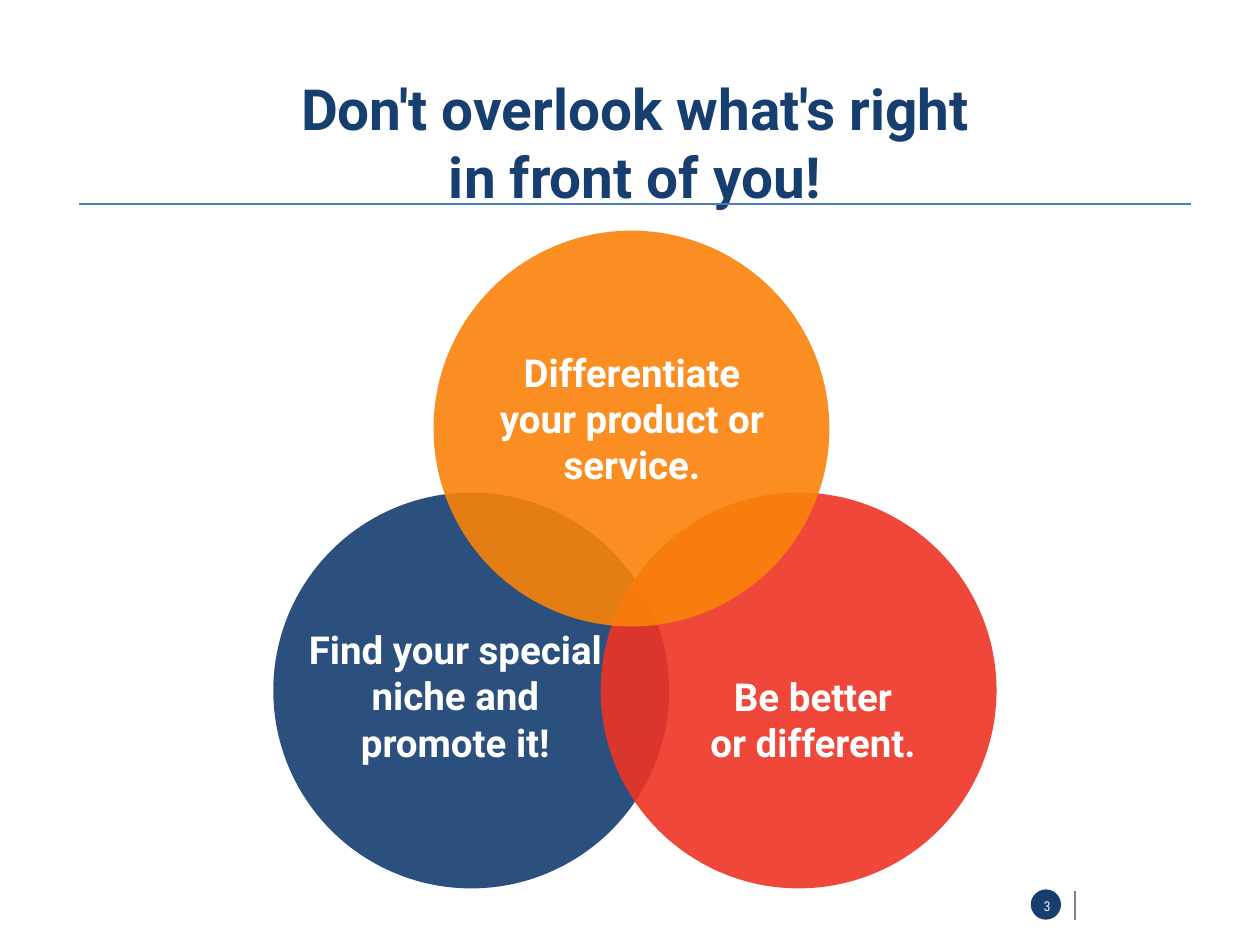
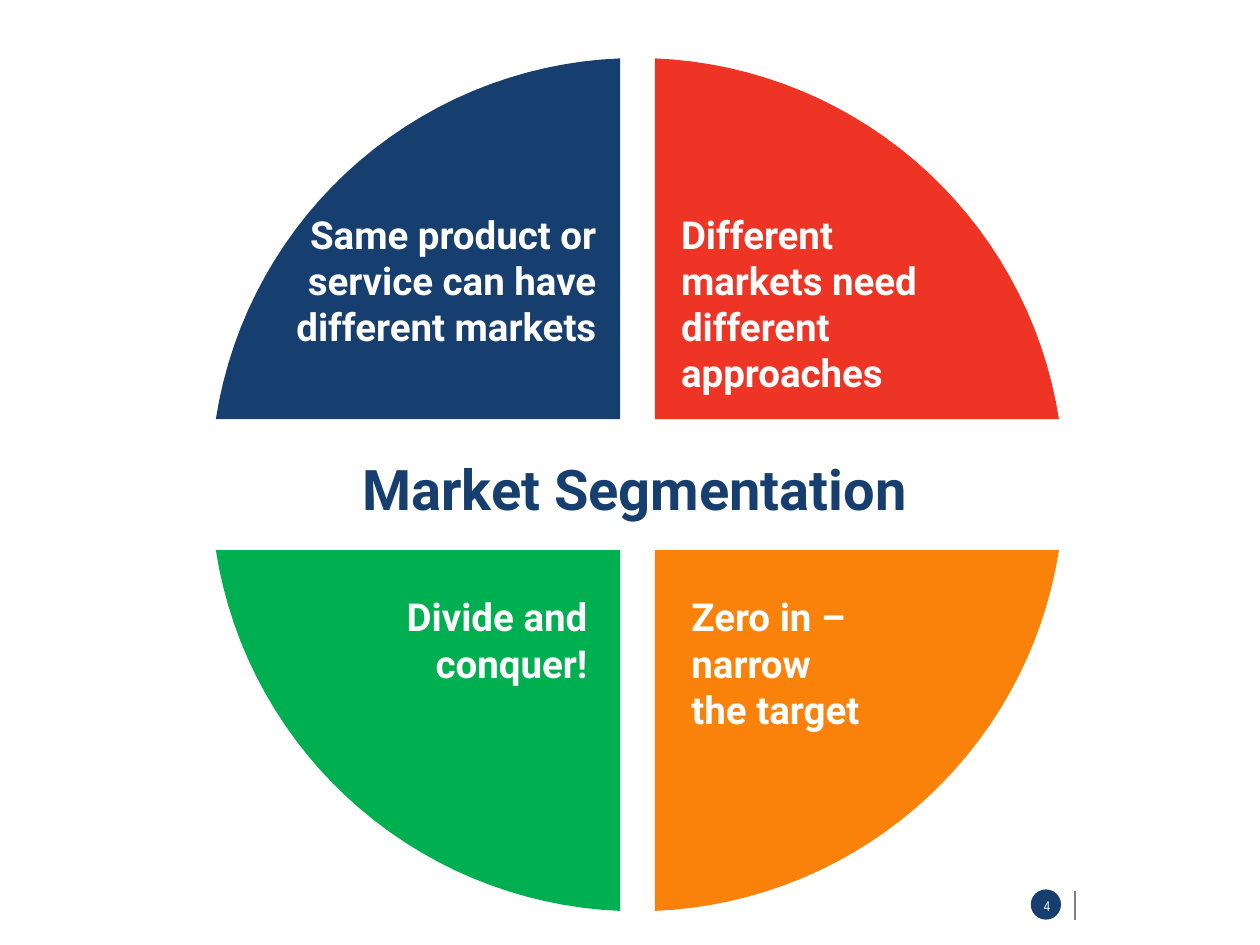
import math

from lxml import etree
from pptx import Presentation
from pptx.dml.color import RGBColor
from pptx.enum.shapes import MSO_CONNECTOR, MSO_SHAPE
from pptx.enum.text import MSO_AUTO_SIZE, PP_ALIGN
from pptx.oxml.ns import qn
from pptx.util import Cm, Pt

STRAIGHT = MSO_CONNECTOR.STRAIGHT
OVAL = MSO_SHAPE.OVAL
GROW = MSO_AUTO_SIZE.SHAPE_TO_FIT_TEXT
LEFT, CENTER, RIGHT = PP_ALIGN.LEFT, PP_ALIGN.CENTER, PP_ALIGN.RIGHT

NAVY, RED, ORANGE, GREEN = "163E6F", "EE3425", "FA820A", "00B050"
WHITE, GRAY, RULE_BLUE = "FFFFFF", "808080", "4B7EBC"
MAIN_FONT, NUMBER_FONT = "Roboto", "Arial Narrow"
LABEL_WIDTH = 6.58
ARC_STEPS = 31


def color(hex_string):
    return RGBColor.from_string(hex_string)


def paint(shape, fill, opacity=None):
    """Give a shape a flat fill without outline or shadow."""
    shape.shadow.inherit = False
    shape.fill.solid()
    shape.fill.fore_color.rgb = color(fill)
    shape.line.fill.background()
    if opacity is not None:
        fill_color = shape.element.spPr.find(".//" + qn("a:srgbClr"))
        alpha = etree.SubElement(fill_color, qn("a:alpha"))
        alpha.set("val", str(opacity * 1000))


def add_circle(slide, left, top, diameter, fill, opacity=None):
    circle = slide.shapes.add_shape(
        OVAL, Cm(left), Cm(top), Cm(diameter), Cm(diameter))
    paint(circle, fill, opacity)


def add_line(slide, x1, y1, x2, y2, line_color, width):
    line = slide.shapes.add_connector(STRAIGHT, Cm(x1), Cm(y1), Cm(x2), Cm(y2))
    line.line.color.rgb = color(line_color)
    line.line.width = Pt(width)
    etree.SubElement(line.element.spPr, qn("a:effectLst"))


def add_text(slide, box, text, size, text_color, align=CENTER,
             font=MAIN_FONT, bold=True):
    """Add one wrapped paragraph; a newline becomes a line break."""
    text_box = slide.shapes.add_textbox(*(Cm(length) for length in box))
    frame = text_box.text_frame
    frame.word_wrap = True
    paragraph = frame.paragraphs[0]
    paragraph.text = text
    paragraph.alignment = align
    for run in paragraph.runs:
        run.font.name = font
        run.font.size = Pt(size)
        run.font.bold = bold
        run.font.color.rgb = color(text_color)
    return frame


def add_title(slide, top, height, text, size):
    frame = add_text(slide, (2.69, top, 20.22, height), text, size, NAVY)
    frame.margin_top = Cm(0.17)


def add_label(slide, left, top, height, text, align=CENTER):
    frame = add_text(slide, (left, top, LABEL_WIDTH, height), text, 22, WHITE, align)
    frame.auto_size = GROW


def add_footer(slide, number, left=20.78, top=17.93):
    add_circle(slide, left, top, 0.61, NAVY)
    frame = add_text(slide, (left - 0.1, top + 0.13, 0.86, 0.64), str(number),
                     8, WHITE, font=NUMBER_FONT, bold=False)
    frame.paragraphs[0].line_spacing = 0.7
    add_line(slide, left + 0.89, top + 0.03, left + 0.89, top + 0.61, GRAY, 1)


def add_venn(slide, left, top, diameter):
    """Draw three overlapping circles, then their labels on top."""
    row_step = 5.28
    for x, y, fill in ((0, row_step, NAVY), (6.6, row_step, RED), (3.23, 0, ORANGE)):
        add_circle(slide, left + x, top + y, diameter, fill, opacity=90)
    labels = (
        (3.94, 2.26, 3.07, "Differentiate your product or service."),
        (7.59, 8.79, 2.13, "Be better\nor different."),
        (0.38, 7.85, 4.01, "Find your special\nniche and promote it!"),
    )
    for x, y, height, text in labels:
        add_label(slide, left + x, top + y, height, text)


def add_quadrant(slide, center_x, center_y, radius, side, level, fill):
    """Draw a quarter of the wheel; side and level are -1 or 1."""
    half_gap, half_band = 0.35, 1.32
    start = math.asin(half_band / radius)
    end = math.acos(half_gap / radius)
    angles = [start + (end - start) * step / ARC_STEPS
              for step in range(ARC_STEPS + 1)]
    arc = [(Cm(center_x + side * radius * math.cos(angle)),
            Cm(center_y + level * radius * math.sin(angle))) for angle in angles]
    builder = slide.shapes.build_freeform(
        Cm(center_x + side * half_gap), Cm(center_y + level * half_band))
    builder.add_line_segments(arc, close=True)
    paint(builder.convert_to_shape(), fill)


def add_wheel(slide, left, top, radius):
    upper, lower = 2.95, 10.67
    segments = (
        (-1, 1, GREEN, 1.26, lower, 2.13, "Divide and conquer!"),
        (1, -1, RED, 9.23, upper, 4.01, "Different markets need different approaches"),
        (-1, -1, NAVY, 1.44, upper, 4.01,
         "Same product or service can have different markets"),
        (1, 1, ORANGE, 9.44, lower, 3.07, "Zero in –\nnarrow\nthe target"),
    )
    for side, level, fill, x, y, height, text in segments:
        add_quadrant(slide, left + radius, top + radius, radius, side, level, fill)
        align = RIGHT if side < 0 else LEFT
        add_label(slide, left + x, top + y, height, text, align)


def build_overlook(slide):
    add_title(slide, 1.32, 2.51, "Don't overlook what's right\nin front of you!", 32.4)
    add_line(slide, 1.6, 4.11, 24, 4.11, RULE_BLUE, 0.75)
    add_venn(slide, 5.51, 4.65, 7.98)


def build_segmentation(slide):
    add_wheel(slide, 4.25, 1.17, 8.6)
    add_title(slide, 8.99, 1.52, "Market Segmentation", 32)


def main():
    presentation = Presentation()
    presentation.slide_width, presentation.slide_height = Cm(25.4), Cm(19.05)
    blank = presentation.slide_layouts[6]
    for number, build in enumerate((build_overlook, build_segmentation), start=3):
        slide = presentation.slides.add_slide(blank)
        add_footer(slide, number)
        build(slide)
    presentation.save("out.pptx")


if __name__ == "__main__":
    main()
